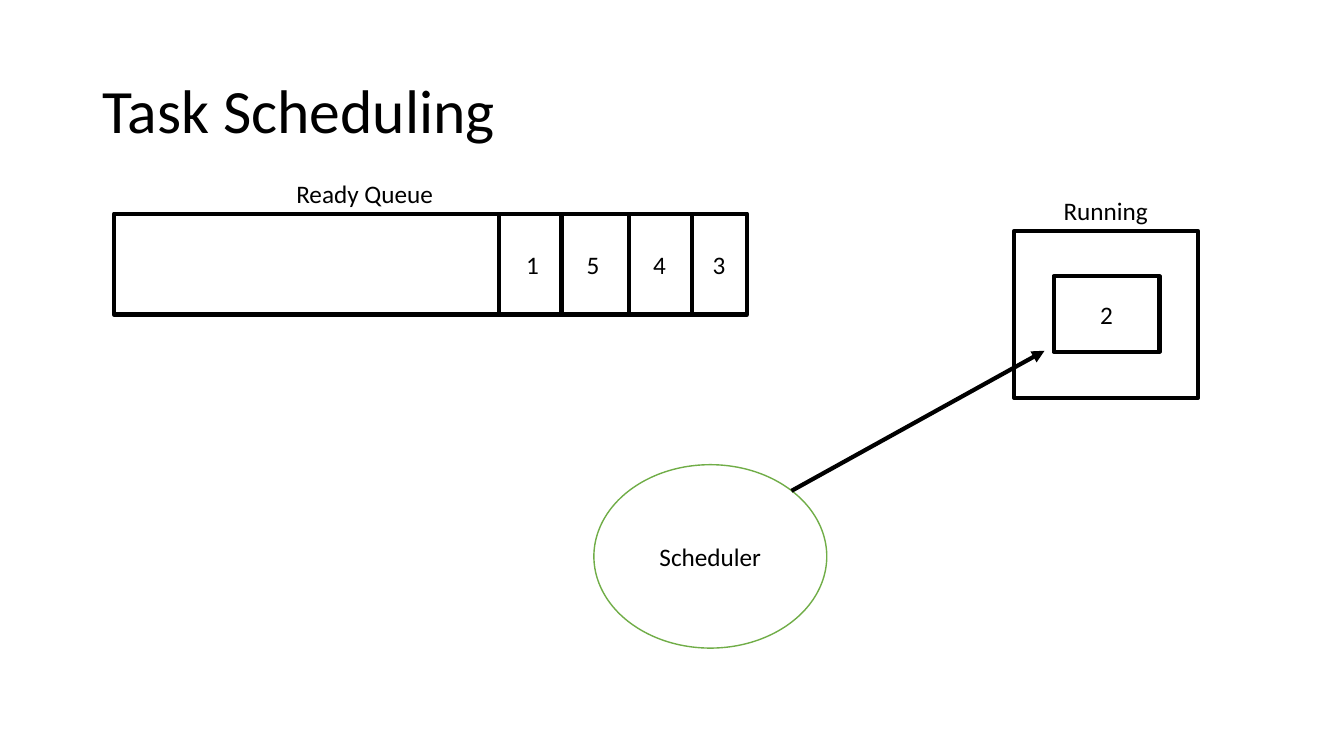
"""Build the task scheduling slide."""
from dataclasses import dataclass

from lxml import etree
from pptx import Presentation
from pptx.dml.color import RGBColor
from pptx.enum import shapes, text
from pptx.oxml.ns import qn
from pptx.slide import Slide
from pptx.text.text import TextFrame
from pptx.util import Inches, Pt


@dataclass(frozen=True)
class Theme:
    """Colours, font and sizes of the slide."""
    ink: RGBColor = RGBColor(0, 0, 0)
    paper: RGBColor = RGBColor(255, 255, 255)
    green: RGBColor = RGBColor(0x70, 0xAD, 0x47)
    font: str = "Calibri"
    title_size: int = 44
    body_size: int = 18
    thin: int = 1
    thick: int = 3


@dataclass(frozen=True)
class Box:
    """A rectangle in inches."""
    left: float
    top: float
    width: float
    height: float

    def lengths(self) -> tuple[Inches, ...]:
        """Return the four sides as lengths."""
        return tuple(Inches(n) for n in (self.left, self.top, self.width, self.height))


@dataclass(frozen=True)
class Node:
    """An outlined shape with an optional centred caption."""
    box: Box
    caption: str = ""
    kind: shapes.MSO_SHAPE = shapes.MSO_SHAPE.RECTANGLE
    color: RGBColor = Theme.ink
    weight: int = Theme.thick


@dataclass(frozen=True)
class Task:
    """A waiting task: its number, text position and left divider."""
    number: str
    text_left: float
    divider: float


THEME = Theme()
TITLE = Box(0.92, 0.4, 11.5, 1.45)
LABEL_HEIGHT = 0.4
QUEUE = Box(1.13, 2.12, 6.28, 1)
TASKS = (
    Task("1", 5.12, 4.95),
    Task("5", 5.72, 5.57),
    Task("4", 6.38, 6.24),
    Task("3", 6.97, 6.86),
)
SCHEDULER = Node(Box(5.89, 4.61, 2.31, 1.82), "Scheduler",
                 shapes.MSO_SHAPE.OVAL, THEME.green, THEME.thin)
RUNNING = Node(Box(10.06, 2.29, 1.82, 1.66))
RUNNING_TASK = Node(Box(10.45, 2.74, 1.05, 0.75), "2")


def write(frame: TextFrame, words: str, size: int) -> None:
    """Set the words of a frame in the theme font."""
    frame.text = words
    for run in frame.paragraphs[0].runs:
        run.font.name = THEME.font
        run.font.size = Pt(size)
        run.font.color.rgb = THEME.ink


def add_title(slide: Slide, words: str) -> None:
    """Add the slide title."""
    frame = slide.shapes.add_textbox(*TITLE.lengths()).text_frame
    frame.word_wrap = True
    frame.vertical_anchor = text.MSO_ANCHOR.MIDDLE
    write(frame, words, THEME.title_size)
    frame.paragraphs[0].line_spacing = 0.9


def add_label(slide: Slide, words: str, left: float, top: float, width: float) -> None:
    """Add a one-line label."""
    box = Box(left, top, width, LABEL_HEIGHT)
    frame = slide.shapes.add_textbox(*box.lengths()).text_frame
    frame.word_wrap = False
    frame.auto_size = text.MSO_AUTO_SIZE.SHAPE_TO_FIT_TEXT
    write(frame, words, THEME.body_size)


def add_node(slide: Slide, node: Node) -> None:
    """Add an outlined shape and its caption."""
    shape = slide.shapes.add_shape(node.kind, *node.box.lengths())
    shape.shadow.inherit = False
    shape.fill.solid()
    shape.fill.fore_color.rgb = THEME.paper
    shape.line.color.rgb = node.color
    shape.line.width = Pt(node.weight)
    if node.caption:
        frame = shape.text_frame
        frame.vertical_anchor = text.MSO_ANCHOR.MIDDLE
        write(frame, node.caption, THEME.body_size)
        frame.paragraphs[0].alignment = text.PP_ALIGN.CENTER


def add_line(slide: Slide, start: tuple[float, float], end: tuple[float, float],
             arrow: bool = False) -> None:
    """Add a thick line, with an arrowhead at its end if asked."""
    ends = (Inches(n) for n in (*start, *end))
    connector = slide.shapes.add_connector(shapes.MSO_CONNECTOR.STRAIGHT, *ends)
    connector.line.color.rgb = THEME.ink
    connector.line.width = Pt(THEME.thick)
    if arrow:
        line = connector.line._get_or_add_ln()
        etree.SubElement(line, qn("a:tailEnd"), type="triangle")
    etree.SubElement(connector._element.spPr, qn("a:effectLst"))


def add_queue(slide: Slide) -> None:
    """Add the ready queue with its waiting tasks."""
    add_label(slide, "Ready Queue", 2.84, QUEUE.top - LABEL_HEIGHT, 1.58)
    add_node(slide, Node(QUEUE))
    number_top = QUEUE.top + (QUEUE.height - LABEL_HEIGHT) / 2
    for task in TASKS:
        add_line(slide, (task.divider, QUEUE.top),
                 (task.divider, QUEUE.top + QUEUE.height))
        add_label(slide, task.number, task.text_left, number_top, 0.33)


def main() -> None:
    """Build and save the presentation."""
    presentation = Presentation()
    presentation.slide_width = Inches(13.33)
    presentation.slide_height = Inches(7.5)
    slide = presentation.slides.add_slide(presentation.slide_layouts[6])
    add_title(slide, "Task Scheduling")
    add_queue(slide)
    for node in (SCHEDULER, RUNNING, RUNNING_TASK):
        add_node(slide, node)
    add_label(slide, "Running", RUNNING_TASK.box.left,
              RUNNING.box.top - LABEL_HEIGHT, RUNNING_TASK.box.width)
    add_line(slide, (7.85, 4.87), (10.36, 3.48), arrow=True)
    presentation.save("out.pptx")


main()
